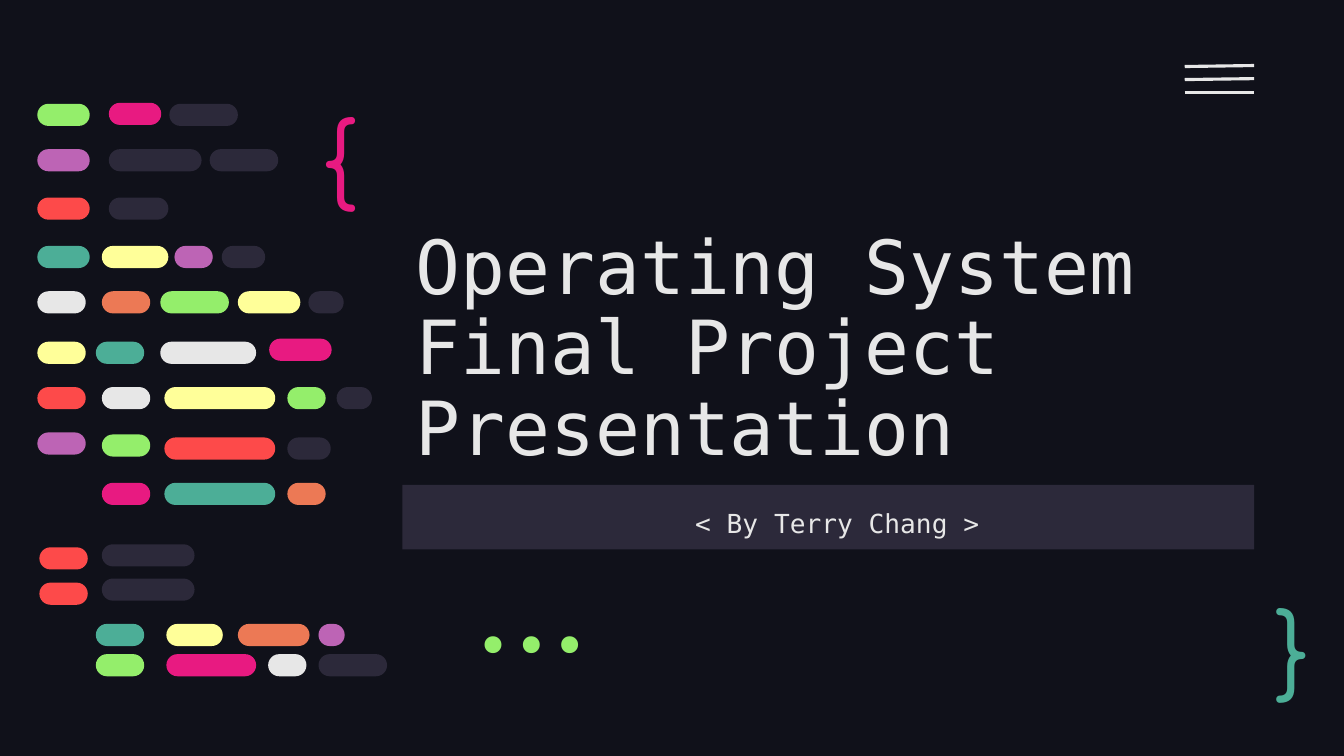
import pptx
import pptx.dml.color
import pptx.enum.shapes
import pptx.enum.text
import pptx.oxml
import pptx.util

THEME = {
    "night": "10111A", "slate": "2C293A", "white": "E7E7E7", "green": "94EE6B",
    "pink": "E81A81", "purple": "BD64B5", "red": "FD4A4A", "teal": "4CAE97",
    "yellow": "FFFF99", "orange": "EC7955",
    "mono": "DejaVu Sans Mono", "round": "Comfortaa", "code": "Fira Code",
    "title": 53.3, "spacer": 21.3, "byline": 18.7, "symbol": 66.7, "stroke": 2.25,
}
Anchor = pptx.enum.text.MSO_ANCHOR
Align = pptx.enum.text.PP_ALIGN
Preset = pptx.enum.shapes.MSO_SHAPE

deck = pptx.Presentation()
deck.slide_width = pptx.util.Inches(13.33)
deck.slide_height = pptx.util.Inches(7.5)
column = deck.slide_width / 100
row = deck.slide_height / 100
cover = deck.slides.add_slide(deck.slide_layouts[6])


def place(left, top, width, height):
    return [round(left * column), round(top * row), round(width * column), round(height * row)]


def paint(fill, colour):
    fill.solid()
    fill.fore_color.rgb = pptx.dml.color.RGBColor.from_string(THEME[colour])


paint(cover.background.fill, "night")

byline_bar = cover.shapes.add_shape(Preset.RECTANGLE, *place(29.93, 64.13, 63.39, 8.53))
byline_bar.shadow.inherit = False
paint(byline_bar.fill, "slate")
byline_bar.line.fill.background()

wordings = [
    (cover.shapes.add_textbox(*place(29.93, 24.53, 63.39, 39.6)),
     [("Operating System\vFinal Project\vPresentation", "title")], "mono", "white",
     {"vertical_anchor": Anchor.BOTTOM}, {"alignment": Align.LEFT, "line_spacing": 0.9}),
    (byline_bar,
     [(" ", "spacer"), ("< By Terry Chang >", "byline")], "mono", "white",
     {"vertical_anchor": Anchor.TOP}, {"alignment": Align.CENTER, "line_spacing": 1.15}),
    (cover.shapes.add_textbox(*place(22.95, 11.07, 7.73, 16.93)),
     [("{", "symbol")], "round", "pink",
     {"vertical_anchor": Anchor.TOP}, {"alignment": Align.LEFT}),
    (cover.shapes.add_textbox(*place(93.92, 77.87, 5.7, 14.8)),
     [("}", "symbol")], "round", "teal",
     {"vertical_anchor": Anchor.MIDDLE}, {"alignment": Align.LEFT}),
    (cover.shapes.add_textbox(*place(31.13, 79.87, 15.83, 10.67)),
     [("...", "symbol")], "code", "green",
     {"vertical_anchor": Anchor.BOTTOM}, {"alignment": Align.RIGHT}),
]
margin = round(column)
frame_format = {"word_wrap": True, "margin_left": margin, "margin_right": margin,
                "margin_top": margin, "margin_bottom": margin}

for holder, phrases, face, colour, anchoring, layout in wordings:
    frame = holder.text_frame
    for name, value in {**frame_format, **anchoring}.items():
        setattr(frame, name, value)
    paragraph = frame.paragraphs[0]
    for name, value in layout.items():
        setattr(paragraph, name, value)
    for phrase, size in phrases:
        for position, line in enumerate(phrase.split("\v")):
            if position:
                paragraph.add_line_break()
            run = paragraph.add_run()
            run.text = line
            for name, value in {"name": THEME[face], "size": pptx.util.Pt(THEME[size])}.items():
                setattr(run.font, name, value)
            paint(run.font.fill, colour)

menu = cover.shapes.add_group_shape()
for start, end in [(8.8, 8.67), (10.53, 10.4), (12.27, 12.27)]:
    bar = menu.shapes.add_connector(
        pptx.enum.shapes.MSO_CONNECTOR.STRAIGHT,
        *place(88.15, start, 93.32, end))
    bar.line.width = pptx.util.Pt(THEME["stroke"])
    paint(bar.line.fill, "white")
    bar._element.spPr.append(pptx.oxml.parse_xml(
        '<a:effectLst xmlns:a="http://schemas.openxmlformats.org/drawingml/2006/main"/>'))

code_lines = {
    13.73: [("green", 2.78, 3.9), ("slate", 12.6, 5.1)],
    13.6: [("pink", 8.1, 3.9)],
    19.73: [("purple", 2.78, 3.9), ("slate", 8.1, 6.9), ("slate", 15.6, 5.1)],
    26.13: [("red", 2.78, 3.9), ("slate", 8.1, 4.43)],
    32.53: [("teal", 2.78, 3.9), ("yellow", 7.58, 4.95), ("purple", 12.98, 2.85),
            ("slate", 16.5, 3.23)],
    38.53: [("white", 2.78, 3.6), ("orange", 7.58, 3.6), ("green", 11.93, 5.1),
            ("yellow", 17.7, 4.65), ("slate", 22.95, 2.63)],
    45.2: [("yellow", 2.78, 3.6), ("teal", 7.13, 3.6), ("white", 11.93, 7.13)],
    44.8: [("pink", 20.03, 4.65)],
    51.2: [("red", 2.78, 3.6), ("white", 7.58, 3.6), ("yellow", 12.23, 8.25),
           ("green", 21.38, 2.85), ("slate", 25.05, 2.63)],
    57.2: [("purple", 2.78, 3.6)],
    57.47: [("green", 7.58, 3.6)],
    57.87: [("red", 12.23, 8.25), ("slate", 21.38, 3.23)],
    63.87: [("pink", 7.58, 3.6), ("teal", 12.23, 8.25), ("orange", 21.38, 2.85)],
    72: [("slate", 7.58, 6.9)],
    72.4: [("red", 2.93, 3.6)],
    76.53: [("slate", 7.58, 6.9)],
    77.07: [("red", 2.93, 3.6)],
    82.53: [("teal", 7.13, 3.6), ("yellow", 12.38, 4.2), ("orange", 17.7, 5.33),
            ("purple", 23.7, 1.95)],
    86.53: [("green", 7.13, 3.6), ("pink", 12.38, 6.68), ("white", 19.95, 2.85),
            ("slate", 23.7, 5.1)],
}
code_block = cover.shapes.add_group_shape()
for top, tokens in code_lines.items():
    for colour, left, width in tokens:
        token = code_block.shapes.add_shape(
            Preset.ROUNDED_RECTANGLE, *place(left, top, width, 2.93))
        token.adjustments[0] = 0.5
        token.shadow.inherit = False
        paint(token.fill, colour)
        token.line.fill.background()

deck.save("out.pptx")
